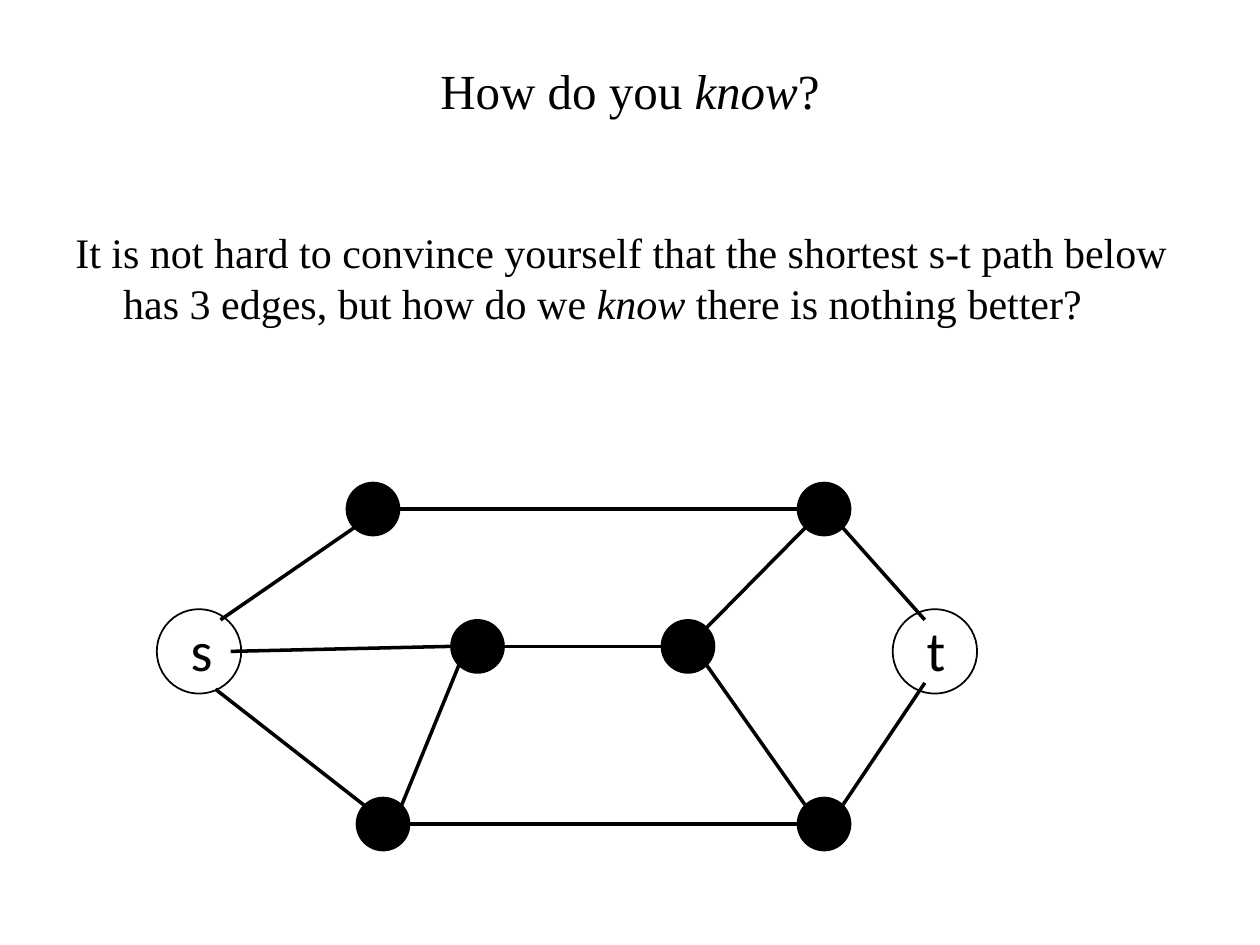
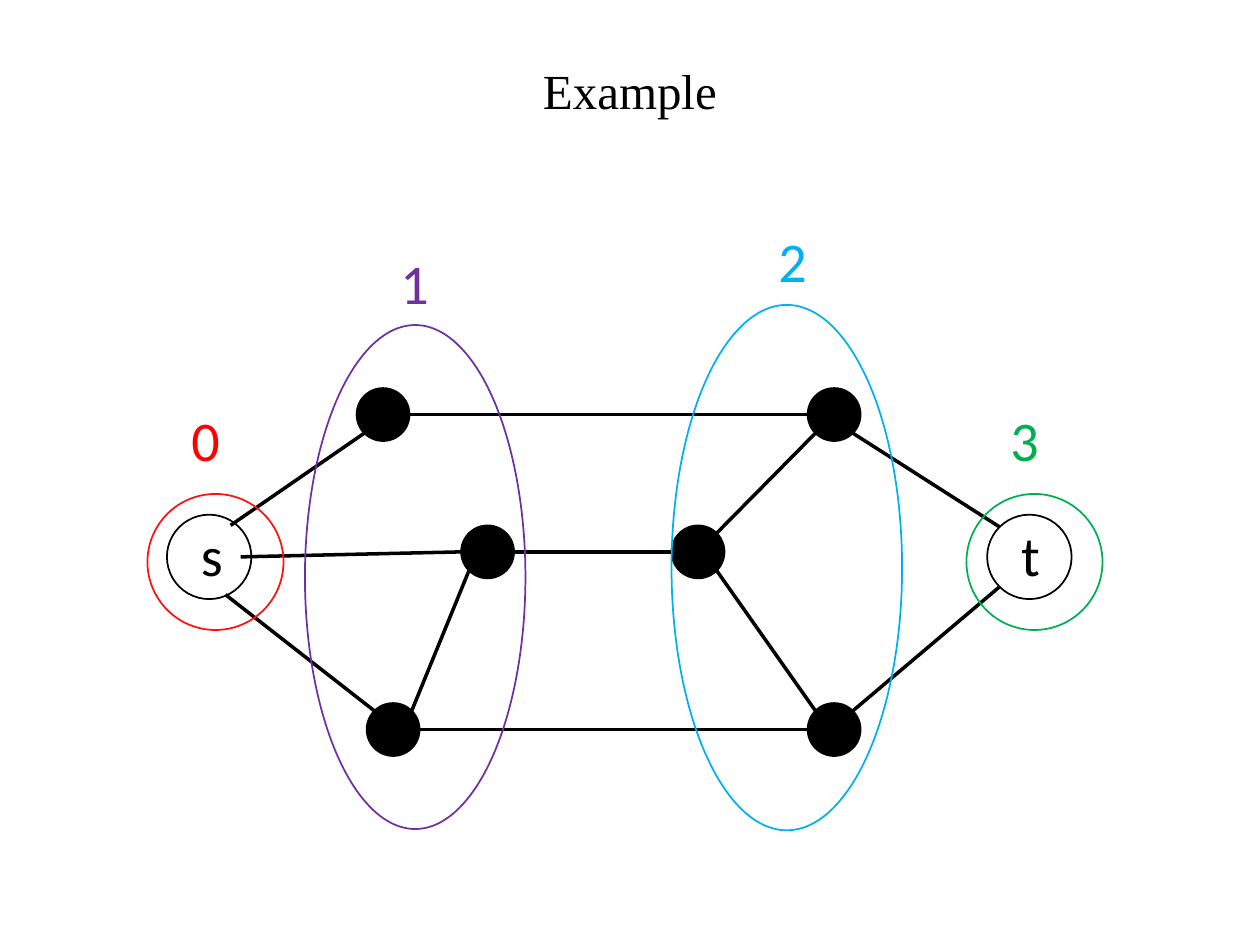
from dataclasses import dataclass

from pptx import Presentation
from pptx import util as u
from pptx.dml.color import RGBColor
from pptx.enum import shapes, text
from pptx.oxml.xmlchemy import OxmlElement


@dataclass(frozen=True)
class Theme:
    ink: str = "000000"
    serif: str = "Times New Roman"
    sans: str = "Calibri"
    title_size: int = 28
    body_size: int = 24
    label_size: int = 32
    outline: float = 1
    edge: float = 2


THEME = Theme()

# Content: words between asterisks are italic
BODY = ("It is not hard to convince yourself that the shortest s-t path below "
        "has 3 edges, but how do we *know* there is nothing better?")

# Graph: centres of the dots, in inches
DOTS = {
    "upper left": (2.96, 4.04), "upper right": (6.54, 4.04),
    "middle left": (3.79, 5.13), "middle right": (5.46, 5.13),
    "lower left": (3.04, 6.54), "lower right": (6.54, 6.54),
}
SOURCE = (1.58, 5.17)

# Edges between dots: dot, side it leaves from, dot, side it reaches
DOT_EDGES = [
    ("upper left", "e", "upper right", "w"),
    ("lower left", "ne", "middle left", "sw"),
    ("middle left", "e", "middle right", "w"),
    ("lower left", "e", "lower right", "w"),
    ("middle right", "ne", "upper right", "sw"),
    ("lower right", "nw", "middle right", "se"),
]
# Edges at s and t: offset from the terminal's centre, dot, side it reaches
SOURCE_EDGES = [
    ((0.17, -0.25), "upper left", "sw"),
    ((0.25, 0), "middle left", "w"),
    ((0.13, 0.3), "lower left", "nw"),
]

SLIDES = [
    {"title": "How do you *know*?", "body": BODY, "shift": (0, 0),
     "target": (7.42, 5.17), "target_reach": (-0.08, 0.25), "levels": []},
    {"title": "Example", "body": None, "shift": (0.08, -0.75),
     "target": (8.17, 4.42), "target_reach": (-0.24, 0.24),
     # Distance, ring box, label corner, ring colour, label colour
     "levels": [
         ("0", (1.17, 3.92, 1.08, 1.08), (1.42, 3.17), "FF0F0F", "FF0000"),
         ("1", (2.42, 2.58, 1.75, 4), (3.08, 1.92), "7030A0", "7030A0"),
         ("2", (5.33, 2.42, 1.83, 4.17), (6.08, 1.75), "00B0F0", "00B0F0"),
         ("3", (7.67, 3.92, 1.08, 1.08), (7.92, 3.17), "00B050", "00B050"),
     ]},
]

DOT_SIZE, TERMINAL_SIZE, LABEL_HEIGHT = 0.42, 0.67, 0.64
DIAGONAL = 0.7
SIDES = {"e": (1, 0), "w": (-1, 0),
         "ne": (DIAGONAL, -DIAGONAL), "nw": (-DIAGONAL, -DIAGONAL),
         "se": (DIAGONAL, DIAGONAL), "sw": (-DIAGONAL, DIAGONAL)}


# Drawing helpers
def inches(values):
    return [u.Inches(value) for value in values]


def moved(point, offset):
    return point[0] + offset[0], point[1] + offset[1]


def add_text(parent, content, box, *, size, font, color=THEME.ink, align=None,
             anchor=text.MSO_ANCHOR.TOP, hanging=0, grow=False):
    shape = parent.add_textbox(*inches(box))
    frame = shape.text_frame
    frame.word_wrap = True
    frame.vertical_anchor = anchor
    if grow:
        frame.auto_size = text.MSO_AUTO_SIZE.SHAPE_TO_FIT_TEXT
    paragraph = frame.paragraphs[0]
    paragraph.alignment = align
    if hanging:
        properties = paragraph._p.get_or_add_pPr()
        properties.set("marL", str(u.Inches(hanging)))
        properties.set("indent", str(-u.Inches(hanging)))
    for index, part in enumerate(content.split("*")):
        run = paragraph.add_run()
        run.text = part
        run.font.size = u.Pt(size)
        run.font.name = font
        run.font.italic = index % 2 == 1
        run.font.color.rgb = RGBColor.from_string(color)


def add_label(parent, content, corner, width, color=THEME.ink):
    add_text(parent, content, (*corner, width, LABEL_HEIGHT), color=color,
             size=THEME.label_size, font=THEME.sans, grow=True)


def add_ellipse(parent, box, color=THEME.ink, filled=False):
    shape = parent.add_shape(shapes.MSO_SHAPE.OVAL, *inches(box))
    shape.shadow.inherit = False
    if filled:
        shape.fill.solid()
        shape.fill.fore_color.rgb = RGBColor.from_string(color)
    else:
        shape.fill.background()
    shape.line.color.rgb = RGBColor.from_string(color)
    shape.line.width = u.Pt(THEME.outline)


def add_edge(slide, start, end):
    line = slide.shapes.add_connector(shapes.MSO_CONNECTOR.STRAIGHT,
                                      *inches((*start, *end)))
    line.line.color.rgb = RGBColor.from_string(THEME.ink)
    line.line.width = u.Pt(THEME.edge)
    line._element.spPr.append(OxmlElement("a:effectLst"))


def add_terminal(slide, name, center):
    group = slide.shapes.add_group_shape()
    corner = moved(center, (-TERMINAL_SIZE / 2, -TERMINAL_SIZE / 2))
    add_ellipse(group.shapes, (*corner, TERMINAL_SIZE, TERMINAL_SIZE))
    add_label(group.shapes, name, moved(corner, (0.17, 0)), 0.58)


def add_graph(slide, shift, target, target_reach):
    dots = {name: moved(center, shift) for name, center in DOTS.items()}
    source = moved(SOURCE, shift)

    def rim(name, side):
        return moved(dots[name], [DOT_SIZE / 2 * part for part in SIDES[side]])

    for center in dots.values():
        corner = moved(center, (-DOT_SIZE / 2, -DOT_SIZE / 2))
        add_ellipse(slide.shapes, (*corner, DOT_SIZE, DOT_SIZE), filled=True)
    add_terminal(slide, "s", source)
    add_terminal(slide, "t", target)

    for first, leave, second, reach in DOT_EDGES:
        add_edge(slide, rim(first, leave), rim(second, reach))
    for offset, name, side in SOURCE_EDGES:
        add_edge(slide, moved(source, offset), rim(name, side))
    across, down = target_reach
    add_edge(slide, moved(target, (across, down)), rim("lower right", "ne"))
    add_edge(slide, moved(target, (across, -down)), rim("upper right", "se"))


def build_slide(presentation, content):
    slide = presentation.slides.add_slide(presentation.slide_layouts[6])
    add_text(slide.shapes, content["title"], (0.75, 0.42, 8.5, 0.58),
             size=THEME.title_size, font=THEME.serif,
             align=text.PP_ALIGN.CENTER, anchor=text.MSO_ANCHOR.MIDDLE)
    if content["body"]:
        add_text(slide.shapes, content["body"], (0.5, 1.75, 9, 1.83),
                 size=THEME.body_size, font=THEME.serif, hanging=0.38)
    add_graph(slide, content["shift"], content["target"], content["target_reach"])

    # Rings around the dots at each distance from s
    for distance, ring, corner, ring_color, label_color in content["levels"]:
        add_ellipse(slide.shapes, ring, ring_color)
        add_label(slide.shapes, distance, corner, 0.5, label_color)


def main():
    presentation = Presentation()
    presentation.slide_width = u.Inches(10)
    presentation.slide_height = u.Inches(7.5)
    for content in SLIDES:
        build_slide(presentation, content)
    presentation.save("out.pptx")


if __name__ == "__main__":
    main()
